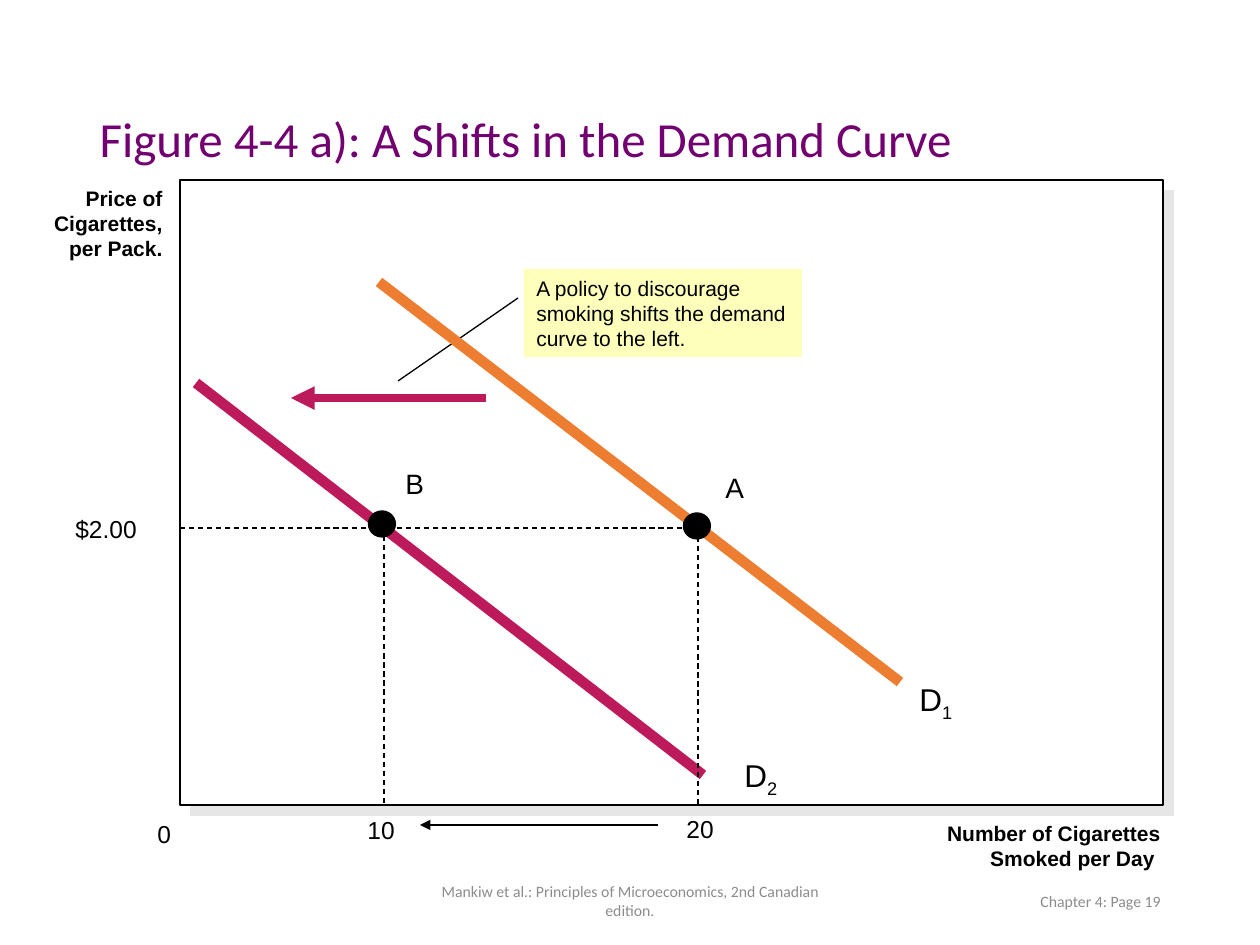
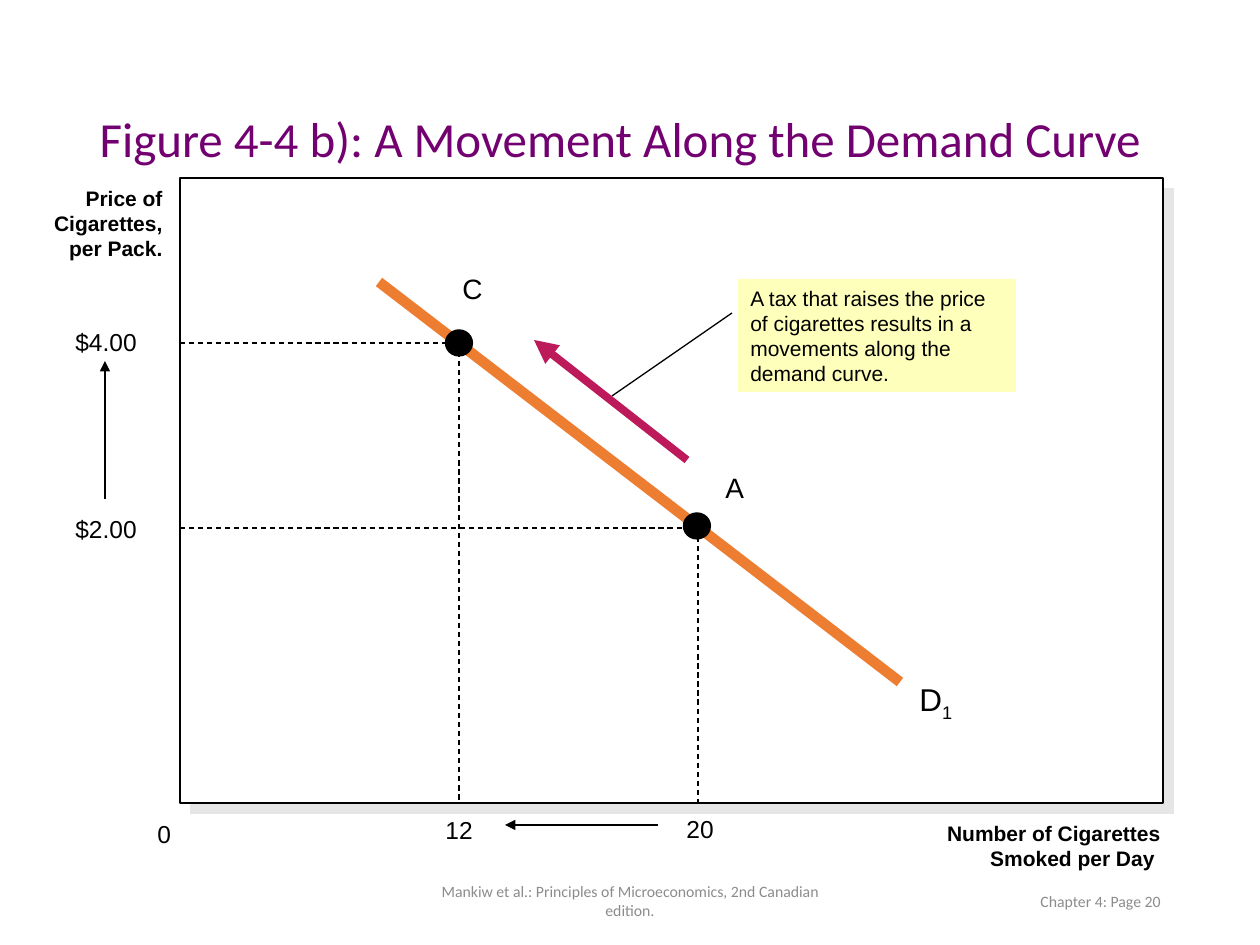
from lxml import etree
from pptx import Presentation
from pptx.dml.color import RGBColor
from pptx.enum.dml import MSO_LINE
from pptx.enum.shapes import MSO_CONNECTOR, MSO_SHAPE
from pptx.enum.text import MSO_ANCHOR, MSO_AUTO_SIZE, PP_ALIGN
from pptx.oxml.ns import qn
from pptx.util import Emu, Inches, Pt

# Colours
PURPLE = RGBColor(0x72, 0x00, 0x70)
GREY = RGBColor(0x8C, 0x8C, 0x8C)
SHADE = RGBColor(0xE7, 0xE6, 0xE6)
BLACK = RGBColor(0x00, 0x00, 0x00)
WHITE = RGBColor(0xFF, 0xFF, 0xFF)
ORANGE = RGBColor(0xED, 0x7D, 0x31)
CRIMSON = RGBColor(0xBC, 0x1A, 0x5A)
YELLOW = RGBColor(0xFE, 0xFF, 0xBA)

# Text styles: font values, colour, alignment, anchor
LEFT, CENTER, RIGHT = PP_ALIGN.LEFT, PP_ALIGN.CENTER, PP_ALIGN.RIGHT
TOP, MIDDLE = MSO_ANCHOR.TOP, MSO_ANCHOR.MIDDLE


def font_values(name, size, bold=False):
    return {"name": name, "size": Pt(size), "bold": bold}


STYLES = {
    "title": (font_values("Calibri", 28), PURPLE, LEFT, MIDDLE),
    "footer": (font_values("Calibri", 9), GREY, CENTER, MIDDLE),
    "page": (font_values("Calibri", 9), GREY, RIGHT, MIDDLE),
    "axis": (font_values("Arial", 12, True), BLACK, RIGHT, TOP),
    "callout": (font_values("Arial", 12), BLACK, LEFT, TOP),
    "value": (font_values("Arial", 14), BLACK, LEFT, TOP),
    "point": (font_values("Arial", 16), BLACK, LEFT, TOP),
    "curve": (font_values("Arial", 18), BLACK, LEFT, TOP),
}

# Line styles: colour, width in points, dashed, arrowhead
LINES = {
    "demand": (ORANGE, 6, False, False),
    "shifted": (CRIMSON, 6, False, False),
    "movement": (CRIMSON, 4.5, False, True),
    "change": (BLACK, 0.75, False, True),
    "leader": (BLACK, 0.75, False, False),
    "guide": (BLACK, 0.75, True, False),
}

# Shared content and places, in px
PX_PER_INCH = 126
TITLE_BOX = (87, 50, 1086, 183)
FRAME_LEFT, FRAME_WIDTH, FRAME_HEIGHT = 180, 983, 625
DOT_WIDTH, DOT_HEIGHT = 27, 26
CALLOUT_WIDTH = 278
PAGE_BOX = (890, 876, 283, 50)
COMMON_TEXTS = [
    ("footer", "Mankiw et al.: Principles of Microeconomics, 2nd Canadian edition.",
     (417, 876, 426, 50)),
    ("axis", "Price of Cigarettes, per Pack.", (28, 179, 147, 88)),
    ("axis", "Number of Cigarettes Smoked per Day ", (903, 814, 270, 63)),
    ("value", "0", (145, 813, 45, 42)),
]
DEMAND_1 = ("demand", (379, 282), (900, 682))
DEMAND_1_NAME = ("D", "1", (907, 674))

# Points: dot centre, guide crossing, name place, (price, top), (quantity, place)
POINT_A = {"name": "A", "dot": (697, 526), "guide": (698, 528), "label": (713, 464),
           "price": ("$2.00", 508), "quantity": ("20", (674, 808))}
POINT_B = {"name": "B", "dot": (382, 524), "guide": (384, 527), "label": (393, 460),
           "price": None, "quantity": ("10", (355, 809))}
POINT_C = {"name": "C", "dot": (459, 343), "guide": (459, 343), "label": (450, 265),
           "price": ("$4.00", 321), "quantity": ("12", (433, 809))}

FIGURES = [
    {
        "title": "Figure 4-4 a): A Shifts in the Demand Curve",
        "page": "Chapter 4: Page 19",
        "frame_top": 180,
        "callout": ("A policy to discourage smoking shifts the demand curve to the left.",
                    (524, 269), 88),
        "lines": [
            ("shifted", (196, 383), (703, 775)),
            ("movement", (486, 398), (291, 398)),
            ("leader", (518, 298), (398, 381)),
            ("change", (658, 825), (420, 825)),
        ],
        "points": [POINT_A, POINT_B],
        "curve_names": [DEMAND_1_NAME, ("D", "2", (732, 750))],
    },
    {
        "title": "Figure 4-4 b): A Movement Along the Demand Curve",
        "page": "Chapter 4: Page 20",
        "frame_top": 178,
        "callout": ("A tax that raises the price of cigarettes results in a movements "
                    "along the demand curve.", (738, 279), 113),
        "lines": [
            ("movement", (687, 460), (534, 340)),
            ("leader", (732, 313), (612, 396)),
            ("change", (658, 825), (505, 825)),
            ("change", (105, 499), (105, 361)),
        ],
        "points": [POINT_A, POINT_C],
        "curve_names": [DEMAND_1_NAME],
    },
]


def px(*lengths):
    return [Emu(round(length * 914400 / PX_PER_INCH)) for length in lengths]


def write(shape, style, text, subscript=None):
    values, colour, align, anchor = STYLES[style]
    frame = shape.text_frame
    for name, value in {"word_wrap": True, "auto_size": MSO_AUTO_SIZE.NONE,
                        "vertical_anchor": anchor}.items():
        setattr(frame, name, value)
    paragraph = frame.paragraphs[0]
    paragraph.alignment = align
    for part in filter(None, (text, subscript)):
        run = paragraph.add_run()
        run.text = part
        for name, value in values.items():
            setattr(run.font, name, value)
        run.font.color.rgb = colour
        if part is subscript:
            run.font._element.set("baseline", "-25000")
    return paragraph


def add_text(slide, style, text, box, subscript=None):
    label = slide.shapes.add_textbox(*px(*box))
    write(label, style, text, subscript)
    return label


def add_line(slide, style, start, end):
    colour, width, dashed, arrow = LINES[style]
    line = slide.shapes.add_connector(MSO_CONNECTOR.STRAIGHT, *px(*start, *end))
    line.line.color.rgb = colour
    line.line.width = Pt(width)
    if dashed:
        line.line.dash_style = MSO_LINE.DASH
    if arrow:
        etree.SubElement(line.line._get_or_add_ln(), qn("a:tailEnd"), type="triangle")
    etree.SubElement(line._element.spPr, qn("a:effectLst"))


def add_outlined(slide, kind, box, fill):
    shape = slide.shapes.add_shape(kind, *px(*box))
    shape.shadow.inherit = False
    shape.fill.solid()
    shape.fill.fore_color.rgb = fill
    shape.line.color.rgb = BLACK
    shape.line.width = Pt(0.75)
    return shape


def add_frame(slide, top):
    frame = add_outlined(slide, MSO_SHAPE.RECTANGLE,
                         (FRAME_LEFT, top, FRAME_WIDTH, FRAME_HEIGHT), WHITE)
    effects = frame._element.spPr.find(qn("a:effectLst"))
    shadow = etree.SubElement(effects, qn("a:outerShdw"), dist=str(Pt(8.5)),
                              dir="2700000", algn="ctr", rotWithShape="0")
    etree.SubElement(shadow, qn("a:srgbClr"), val=str(SHADE))


def add_guides(slide, point, bottom):
    x, y = point["guide"]
    if point["price"]:
        add_line(slide, "guide", (FRAME_LEFT, y), (x, y))
    add_line(slide, "guide", (x, y), (x, bottom))


def add_point(slide, point):
    x, y = point["dot"]
    add_outlined(slide, MSO_SHAPE.OVAL,
                 (x - DOT_WIDTH / 2, y - DOT_HEIGHT / 2, DOT_WIDTH, DOT_HEIGHT), BLACK)
    add_text(slide, "point", point["name"], (*point["label"], 39, 47))
    quantity, place = point["quantity"]
    add_text(slide, "value", quantity, (*place, 58, 42))
    if point["price"]:
        price, top = point["price"]
        add_text(slide, "value", price, (63, top, 112, 42))


def build_figure(deck, figure):
    slide = deck.slides.add_slide(deck.slide_layouts[5])

    # Title
    title = slide.shapes.title
    for name, value in zip(("left", "top", "width", "height"), px(*TITLE_BOX)):
        setattr(title, name, value)
    write(title, "title", figure["title"]).line_spacing = 0.9

    # Frame, axis names and footer
    add_frame(slide, figure["frame_top"])
    for style, text, box in COMMON_TEXTS:
        add_text(slide, style, text, box)
    add_text(slide, "page", figure["page"], PAGE_BOX)

    # Callout
    text, place, height = figure["callout"]
    callout = add_text(slide, "callout", text, (*place, CALLOUT_WIDTH, height))
    callout.fill.solid()
    callout.fill.fore_color.rgb = YELLOW

    # Curves, arrows and guides
    for line in figure["lines"]:
        add_line(slide, *line)
    for point in figure["points"]:
        add_guides(slide, point, figure["frame_top"] + FRAME_HEIGHT + 1)
    add_line(slide, *DEMAND_1)

    # Points and curve names
    for point in figure["points"]:
        add_point(slide, point)
    for name, subscript, place in figure["curve_names"]:
        add_text(slide, "curve", name, (*place, 78, 50), subscript)


def main():
    deck = Presentation()
    deck.slide_width, deck.slide_height = Inches(10), Inches(7.5)
    for figure in FIGURES:
        build_figure(deck, figure)
    deck.save("out.pptx")


if __name__ == "__main__":
    main()
